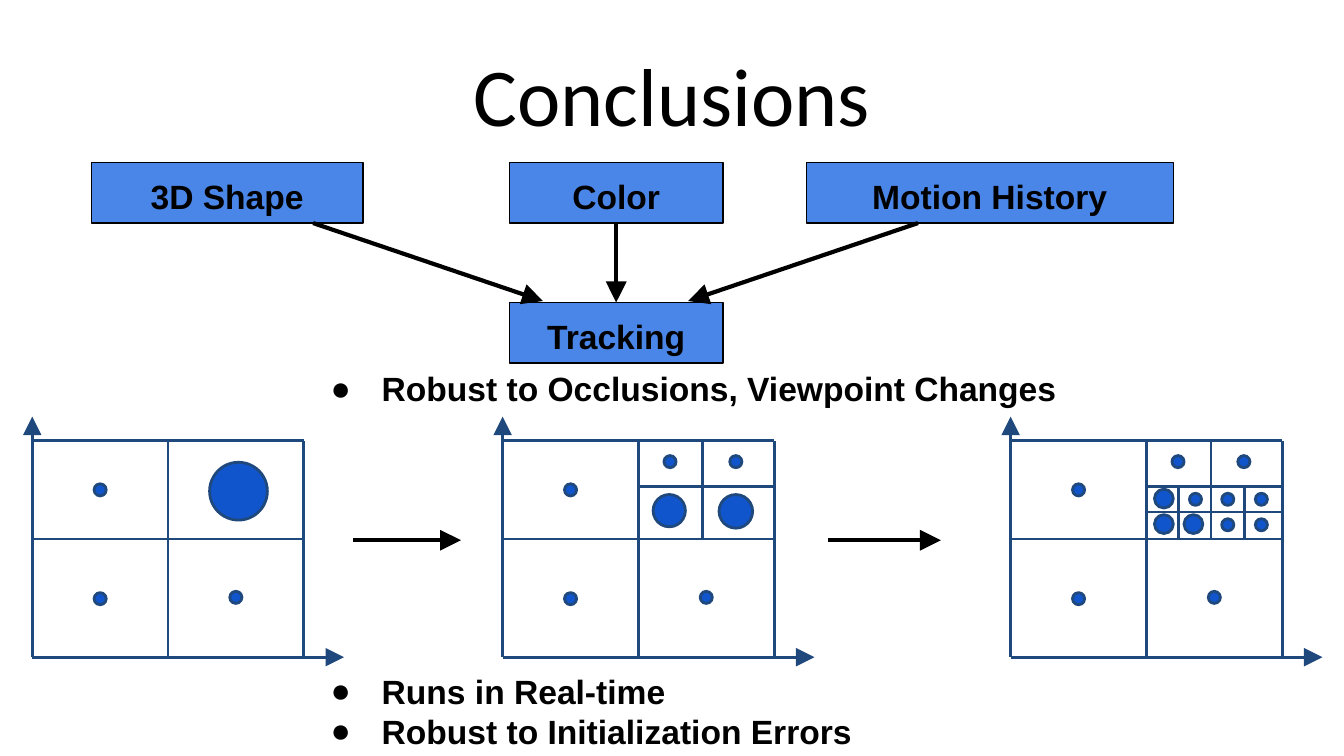
"""Build the Conclusions slide: tracking cues, grid refinement and key findings."""
from pptx import Presentation
from pptx import util as u
from pptx.dml.color import RGBColor
from pptx.enum import shapes, text
from pptx.oxml import parse_xml
from pptx.oxml.ns import nsdecls, qn

PX = 9144
BLACK, NAVY, BLUE, SKY = "000000", "1F497D", "1155CC", "4A86E8"

presentation = Presentation()
presentation.slide_width = 1000 * PX
presentation.slide_height = presentation.slide_width * 9 // 16
slide = presentation.slides.add_slide(presentation.slide_layouts[3])


def color(target, value):
    """Set a solid colour on a fill, line or font."""
    if hasattr(target, "solid"):
        target.solid()
        target.fore_color.rgb = RGBColor.from_string(value)
    else:
        target.color.rgb = RGBColor.from_string(value)


def add_line(start_x, start_y, end_x, end_y, stroke=NAVY, width=1.5, arrow=False):
    """Draw a straight line, with an arrowhead at its end if asked."""
    connector = slide.shapes.add_connector(
        shapes.MSO_CONNECTOR.STRAIGHT, start_x * PX, start_y * PX, end_x * PX, end_y * PX)
    color(connector.line, stroke)
    connector.line.width = u.Pt(width)
    properties = connector._element.spPr
    if arrow:
        properties.find(qn("a:ln")).append(
            parse_xml(f'<a:tailEnd {nsdecls("a")} type="triangle" w="lg" len="lg"/>'))
    properties.append(parse_xml(f'<a:effectLst {nsdecls("a")}/>'))
    return connector


title = slide.shapes.title
title.left, title.top, title.width, title.height = 50 * PX, 23 * PX, 900 * PX, 94 * PX
title.text_frame.vertical_anchor = text.MSO_ANCHOR.MIDDLE
paragraph = title.text_frame.paragraphs[0]
paragraph.alignment = text.PP_ALIGN.CENTER
run = paragraph.add_run()
run.text = "Conclusions"
run.font.name, run.font.size = "Calibri", u.Pt(44)
color(run.font, BLACK)

findings = [
    (1, 264, 776, ["Robust to Occlusions, Viewpoint Changes"]),
    (2, 489, 563, ["Runs in Real-time", "Robust to Initialization Errors"]),
]
for index, top, width, lines in findings:
    body = slide.placeholders[index]
    body.left, body.top, body.width, body.height = 224 * PX, top * PX, width * PX, 50 * PX
    frame = body.text_frame
    frame.auto_size = text.MSO_AUTO_SIZE.NONE
    frame.margin_left = frame.margin_right = frame.margin_top = frame.margin_bottom = 10 * PX
    for number, line in enumerate(lines):
        paragraph = frame.add_paragraph() if number else frame.paragraphs[0]
        properties = paragraph._p.get_or_add_pPr()
        properties.set("marL", str(50 * PX))
        properties.set("indent", str(-38 * PX))
        for bullet in (f'<a:buClr {nsdecls("a")}><a:srgbClr val="{BLACK}"/></a:buClr>',
                       f'<a:buFont {nsdecls("a")} typeface="Arial"/>',
                       f'<a:buChar {nsdecls("a")} char="●"/>'):
            properties.append(parse_xml(bullet))
        paragraph.space_before = u.Pt(0)
        run = paragraph.add_run()
        run.text = line
        run.font.name, run.font.size, run.font.bold = "Arial", u.Pt(18), True
        color(run.font, BLACK)

boxes = {}
for label, left, top, width in [("3D Shape", 68, 121, 202), ("Color", 379, 121, 159),
                                ("Tracking", 379, 225, 159), ("Motion History", 600, 121, 273)]:
    box = slide.shapes.add_shape(
        shapes.MSO_SHAPE.RECTANGLE, left * PX, top * PX, width * PX, 45 * PX)
    box.shadow.inherit = False
    color(box.fill, SKY)
    color(box.line, BLACK)
    box.line.width = u.Pt(0.75)
    frame = box.text_frame
    frame.vertical_anchor = text.MSO_ANCHOR.TOP
    frame.margin_left = frame.margin_right = frame.margin_top = frame.margin_bottom = 10 * PX
    paragraph = frame.paragraphs[0]
    paragraph.alignment = text.PP_ALIGN.CENTER
    run = paragraph.add_run()
    run.text = label
    run.font.name, run.font.size, run.font.bold = "Arial", u.Pt(18), True
    color(run.font, BLACK)
    boxes[label] = box

add_line(233, 166, 404, 224, BLACK, 2.25, True)
add_line(683, 166, 512, 224, BLACK, 2.25, True)
color_arrow = add_line(458, 166, 458, 225, BLACK, 2.25, True)
color_arrow.begin_connect(boxes["Color"], 2)
color_arrow.end_connect(boxes["Tracking"], 0)
add_line(263, 402, 343, 402, BLACK, 2.25, True)
add_line(616, 402, 700, 402, BLACK, 2.25, True)

grid = [(0, 328, 202, 328), (202, 328, 202, 489), (101, 328, 101, 489), (0, 401, 202, 401)]
split = [(101, 362, 202, 362), (149, 328, 149, 400)]
fine_split = [(101, 381, 202, 381), (125, 362, 125, 400), (174, 362, 174, 400)]
dots = [(46, 360, 9), (46, 441, 9), (147, 440, 9)]
split_dots = [(120, 339, 9), (169, 339, 9)]
fine_dots = [(107, 364, 14), (133, 367, 9), (157, 367, 9), (182, 367, 9),
             (107, 383, 14), (129, 383, 14), (157, 386, 9), (182, 386, 9)]
panels = [
    (24, grid, dots + [(132, 344, 43)]),
    (374, grid + split, dots + split_dots + [(112, 368, 24), (161, 368, 25)]),
    (752, grid + split + fine_split, dots + split_dots + fine_dots),
]
for origin, panel_lines, panel_dots in panels:
    add_line(origin, 489, origin, 310, arrow=True)
    add_line(origin, 489, origin + 232, 489, arrow=True)
    for start_x, start_y, end_x, end_y in panel_lines:
        add_line(origin + start_x, start_y, origin + end_x, end_y)
    for left, top, size in panel_dots:
        dot = slide.shapes.add_shape(
            shapes.MSO_SHAPE.OVAL, (origin + left) * PX, top * PX, size * PX, size * PX)
        dot.shadow.inherit = False
        color(dot.fill, BLUE)
        color(dot.line, NAVY)
        dot.line.width = u.Pt(1.5)

presentation.save("out.pptx")
